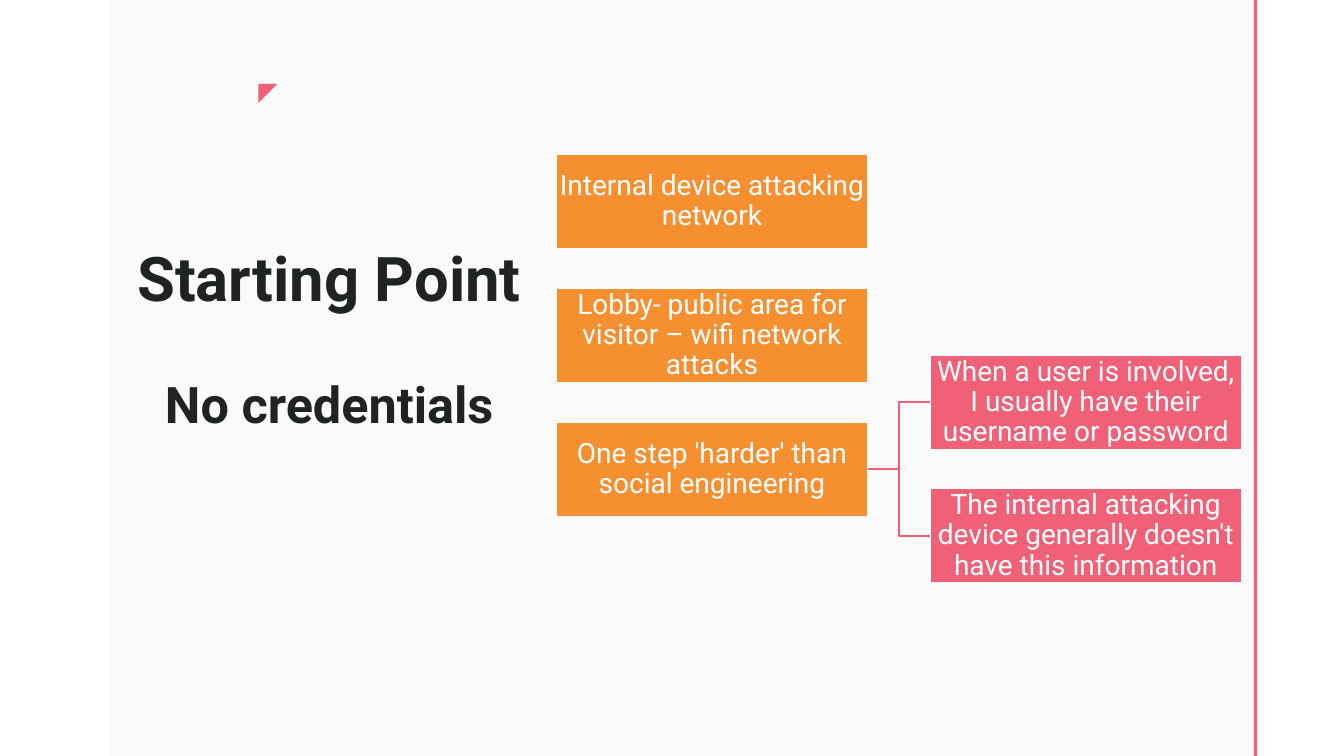
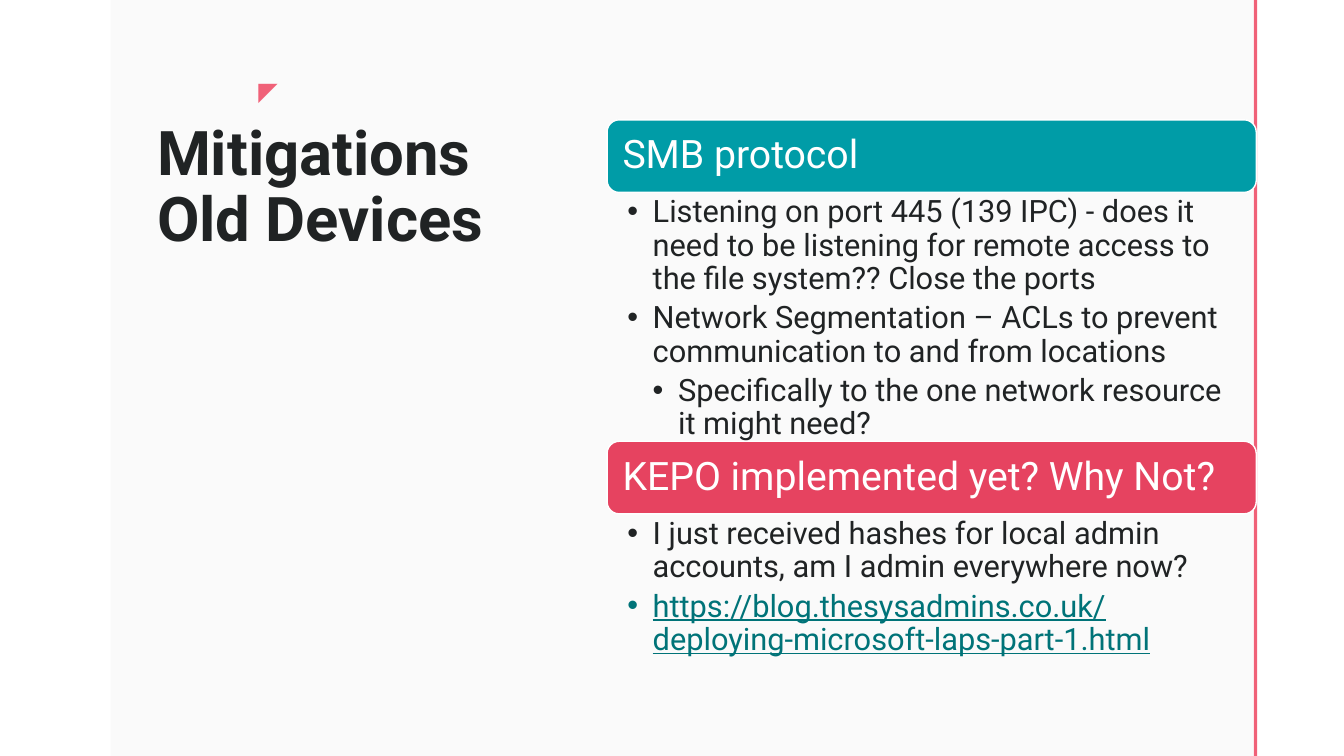
"""Build two slides on network attack starting points and mitigations."""
from pptx import Presentation
from pptx.dml.color import RGBColor
from pptx.enum.shapes import MSO_CONNECTOR, MSO_SHAPE
from pptx.enum.text import MSO_ANCHOR, PP_ALIGN
from pptx.oxml.ns import qn
from pptx.util import Cm, Pt
from lxml.etree import SubElement

FONT = "Roboto"
WHITE, PANEL, INK = "FFFFFF", "FAFAFA", "202324"
PINK, ORANGE, TEAL, RED, LINK = "F06178", "F68F30", "009CA7", "E64360", "007378"

START_TITLE = [("Starting Point", 44), ("No credentials", 36)]
START_POINTS = [
    "Internal device attacking network",
    "Lobby- public area for visitor – wifi network attacks",
    "One step 'harder' than social engineering",
]
HARDER_REASONS = [
    "When a user is involved, I usually have their username or password",
    "The internal attacking device generally doesn't have this information",
]

MITIGATION_TITLE = [("Mitigations Old Devices", 44)]
MITIGATIONS = [
    ("SMB protocol", TEAL, 6.27, [
        (1, "Listening on port 445 (139 IPC) - does it need to be listening for "
            "remote access to the file system?? Close the ports"),
        (1, "Network Segmentation – ACLs to prevent communication to and from locations"),
        (2, "Specifically to the one network resource it might need?"),
    ]),
    ("KEPO implemented yet? Why Not?", RED, 3.78, [
        (1, "I just received hashes for local admin accounts, am I admin everywhere now?"),
        (1, "https://blog.thesysadmins.co.uk/deploying-microsoft-laps-part-1.html"),
    ]),
]

BOX_LEFT, BOX_TOP, BOX_W, BOX_H = 14.02, 3.89, 7.85, 2.38
COL_STEP, ROW_STEP = 9.42, 3.37
LIST_LEFT, LIST_TOP, LIST_W, HEAD_H = 15.3, 3.02, 16.36, 1.83


def rgb(color):
    return RGBColor.from_string(color)


def set_margins(tf, left, top, right, bottom):
    tf.margin_left, tf.margin_top = Cm(left), Cm(top)
    tf.margin_right, tf.margin_bottom = Cm(right), Cm(bottom)


def style(p, size, color, bold=False, align=PP_ALIGN.LEFT, font=FONT):
    p.alignment = align
    p.line_spacing = 0.9
    for r in p.runs:
        r.font.name, r.font.size, r.font.bold = font, Pt(size), bold
        r.font.color.rgb = rgb(color)


def add_block(s, kind, box, fill, line=None):
    sp = s.shapes.add_shape(kind, *map(Cm, box))
    sp.shadow.inherit = False
    sp.fill.solid()
    sp.fill.fore_color.rgb = rgb(fill)
    if line:
        sp.line.color.rgb = rgb(line)
        sp.line.width = Pt(1)
    else:
        sp.line.fill.background()
    return sp


def add_label(s, kind, box, fill, text, size, align, margins):
    sp = add_block(s, kind, box, fill, WHITE)
    tf = sp.text_frame
    tf.text = text
    tf.word_wrap = True
    tf.vertical_anchor = MSO_ANCHOR.MIDDLE
    set_margins(tf, *margins)
    style(tf.paragraphs[0], size, WHITE, align=align)
    return sp


def add_text(s, box):
    tf = s.shapes.add_textbox(*map(Cm, box)).text_frame
    tf.word_wrap = True
    return tf


def add_slide(prs, title, box, align):
    s = prs.slides.add_slide(prs.slide_layouts[6])
    add_block(s, MSO_SHAPE.RECTANGLE, (2.79, 0, 28.8, 19.05), PANEL)
    add_block(s, MSO_SHAPE.RECTANGLE, (31.6, 0, 0.08, 19.05), PINK)
    tf = add_text(s, (6.11, 1.86, 1.14, 1.02))
    tf.text = "◤"
    style(tf.paragraphs[0], 18, PINK, align=PP_ALIGN.RIGHT, font="Arial")
    tf = add_text(s, box)
    tf.text = "\n".join(text for text, _ in title)
    for i, (p, (_, size)) in enumerate(zip(tf.paragraphs, title)):
        style(p, size, INK, True, align)
        if i:
            p.space_before = Pt(47)
    return s


def add_box(s, col, row, fill, text):
    box = (BOX_LEFT + col * COL_STEP, BOX_TOP + row * ROW_STEP, BOX_W, BOX_H)
    return add_label(s, MSO_SHAPE.RECTANGLE, box, fill, text, 20, PP_ALIGN.CENTER, (0.03,) * 4)


def add_branch(s, parent, child):
    c = s.shapes.add_connector(MSO_CONNECTOR.ELBOW, 0, 0, 0, 0)
    c.begin_connect(parent, 3)
    c.end_connect(child, 1)
    c.line.color.rgb = rgb(PINK)
    c.line.width = Pt(1)
    SubElement(c._element.spPr, qn("a:effectLst"))


def add_bullets(s, box, items):
    tf = add_text(s, box)
    tf.text = "\n".join(text for _, text in items)
    set_margins(tf, 0.51, 0.1, 0.56, 0.1)
    for p, (level, text) in zip(tf.paragraphs, items):
        pPr = p._p.get_or_add_pPr()
        pPr.set("marL", str(Cm(0.64 * level)))
        pPr.set("indent", str(-Cm(0.64)))
        SubElement(pPr, qn("a:buFont")).set("typeface", "Arial")
        SubElement(pPr, qn("a:buChar")).set("char", "•")
        is_link = text.startswith("https")
        style(p, 22, LINK if is_link else INK)
        p.space_after = Pt(4.4)
        p.runs[0].font.underline = is_link


def build_start(prs):
    s = add_slide(prs, START_TITLE, (2.57, 6.12, 11.46, 6.6), PP_ALIGN.CENTER)
    points = [add_box(s, 0, row, ORANGE, text) for row, text in enumerate(START_POINTS)]
    for i, text in enumerate(HARDER_REASONS):
        row = len(points) - 1 + i - (len(HARDER_REASONS) - 1) / 2
        add_branch(s, points[-1], add_box(s, 1, row, PINK, text))


def build_mitigations(prs):
    s = add_slide(prs, MITIGATION_TITLE, (3.71, 2.95, 10.62, 8.79), PP_ALIGN.LEFT)
    top = LIST_TOP
    for head, fill, height, items in MITIGATIONS:
        add_label(s, MSO_SHAPE.ROUNDED_RECTANGLE, (LIST_LEFT, top, LIST_W, HEAD_H), fill,
                  head, 28, PP_ALIGN.LEFT, (0.3, 0.3, 0.3, 0.3))
        add_bullets(s, (LIST_LEFT, top + HEAD_H, LIST_W, height), items)
        top += HEAD_H + height


def main():
    prs = Presentation()
    prs.slide_width, prs.slide_height = Cm(33.87), Cm(19.05)
    build_start(prs)
    build_mitigations(prs)
    prs.save("out.pptx")


if __name__ == "__main__":
    main()
